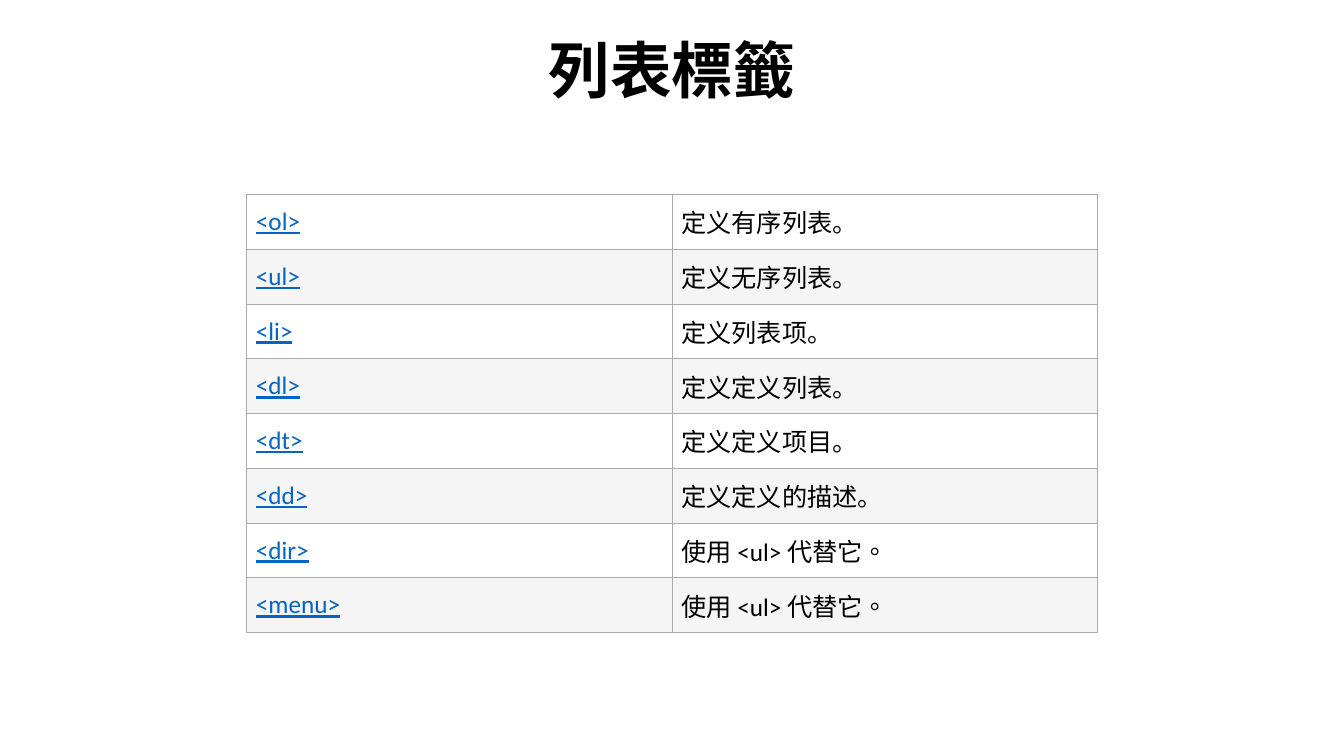
from pptx import Presentation
from pptx.dml.color import RGBColor
from pptx.enum.lang import MSO_LANGUAGE_ID
from pptx.enum.text import MSO_ANCHOR, PP_ALIGN
from pptx.oxml import parse_xml
from pptx.oxml.ns import nsdecls
from pptx.util import Cm, Pt

BLACK = RGBColor(0x00, 0x00, 0x00)
WHITE = RGBColor(0xFF, 0xFF, 0xFF)
BAND = RGBColor(0xF5, 0xF5, 0xF5)
BORDER = RGBColor(0xAA, 0xAA, 0xAA)
LINK = RGBColor(0x05, 0x63, 0xC1)
SIMPLIFIED = MSO_LANGUAGE_ID.SIMPLIFIED_CHINESE
TRADITIONAL = MSO_LANGUAGE_ID.TRADITIONAL_CHINESE

LIST_TAGS = [
    ("<ol>", "定义有序列表。", SIMPLIFIED),
    ("<ul>", "定义无序列表。", SIMPLIFIED),
    ("<li>", "定义列表项。", SIMPLIFIED),
    ("<dl>", "定义定义列表。", SIMPLIFIED),
    ("<dt>", "定义定义项目。", SIMPLIFIED),
    ("<dd>", "定义定义的描述。", SIMPLIFIED),
    ("<dir>", "使用 <ul> 代替它。", TRADITIONAL),
    ("<menu>", "使用 <ul> 代替它。", TRADITIONAL),
]


class PageBuilder:
    font_name = "Calibri"
    title_size = Pt(44)
    body_size = Pt(18)
    cell_margin = Cm(0.23)

    def __init__(self, page):
        self.page = page

    def format_text(self, frame, size, color, language, bold=False, underline=False):
        for paragraph in frame.paragraphs:
            for span in paragraph.runs:
                font = span.font
                font.name, font.size = self.font_name, size
                font.bold, font.underline = bold, underline
                font.color.rgb = color
                font.language_id = language

    def title(self, text, left, top, width, height):
        box = self.page.shapes.title
        box.left, box.top, box.width, box.height = left, top, width, height
        frame = box.text_frame
        frame.text = text
        frame.word_wrap = True
        frame.vertical_anchor = MSO_ANCHOR.TOP
        frame.margin_top = 0
        frame.paragraphs[0].alignment = PP_ALIGN.CENTER
        frame.paragraphs[0].line_spacing = 0.9
        self.format_text(frame, self.title_size, BLACK, TRADITIONAL, bold=True)

    def cell(self, cell, text, fill, color, language, underline=False):
        cell.text_frame.text = text
        cell.vertical_anchor = MSO_ANCHOR.MIDDLE
        cell.margin_left = cell.margin_right = self.cell_margin
        cell.margin_top = cell.margin_bottom = self.cell_margin
        self.format_text(cell.text_frame, self.body_size, color, language, underline=underline)
        properties = cell._tc.get_or_add_tcPr()
        for side in ("lnL", "lnR", "lnT", "lnB"):
            properties.append(parse_xml(
                f'<a:{side} {nsdecls("a")} w="{Pt(0.75)}"><a:solidFill>'
                f'<a:srgbClr val="{BORDER}"/></a:solidFill></a:{side}>'))
        cell.fill.solid()
        cell.fill.fore_color.rgb = fill

    def tag_table(self, entries, left, top, width, height):
        table = self.page.shapes.add_table(len(entries), 2, left, top, width, height).table
        table.first_row = table.horz_banding = False
        for index, (tag, meaning, language) in enumerate(entries):
            fill = BAND if index % 2 else WHITE
            self.cell(table.cell(index, 0), tag, fill, LINK, language, underline=True)
            self.cell(table.cell(index, 1), meaning, fill, BLACK, language)


deck = Presentation()
deck.slide_width, deck.slide_height = Cm(33.87), Cm(19.05)
builder = PageBuilder(deck.slides.add_slide(deck.slide_layouts[5]))
builder.title("列表標籤", Cm(2.33), Cm(1.01), Cm(29.21), Cm(3.68))
builder.tag_table(LIST_TAGS, Cm(6.22), Cm(4.9), Cm(21.44), Cm(9.9))
deck.save("out.pptx")
